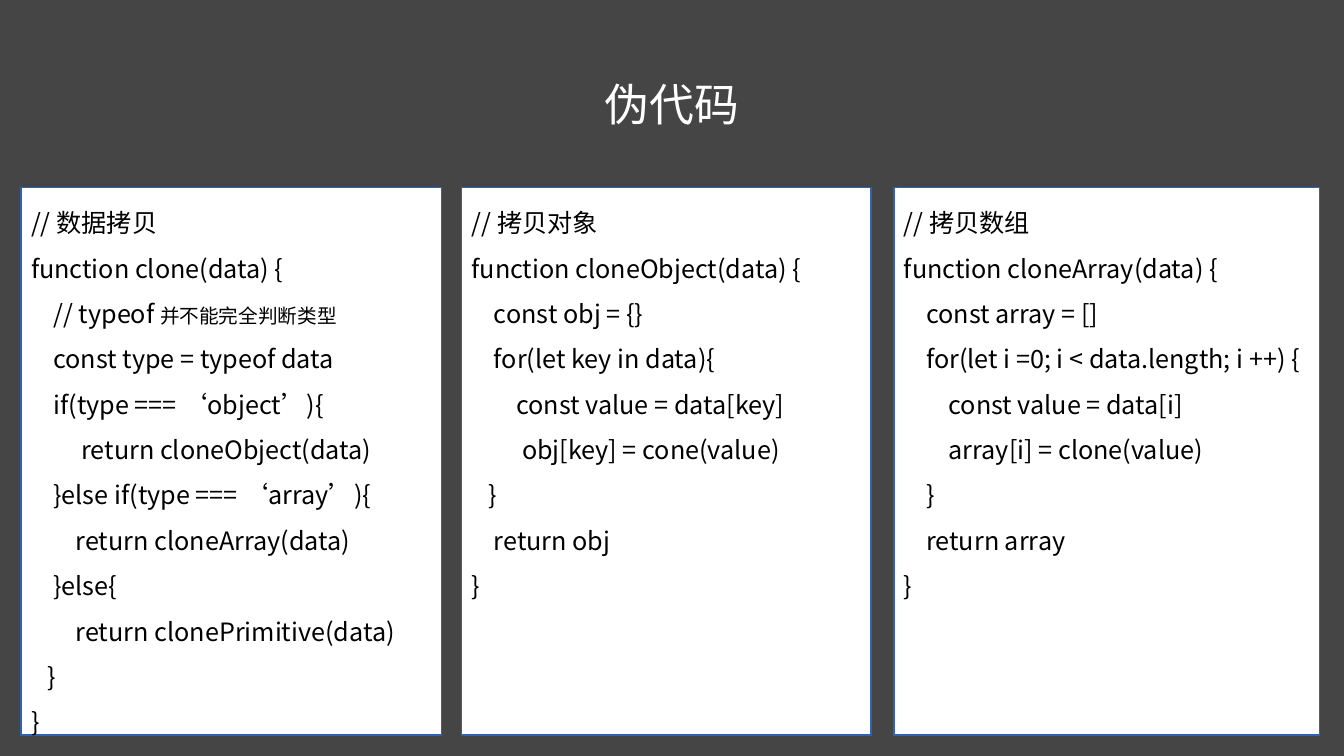
"""Build a slide with three panels of pseudocode."""
import dataclasses

import pptx
import pptx.dml.color
import pptx.enum.shapes
import pptx.enum.text
import pptx.oxml
import pptx.oxml.ns
import pptx.util

Pt = pptx.util.Pt
Align = pptx.enum.text.PP_ALIGN
Fit = pptx.enum.text.MSO_AUTO_SIZE


@dataclasses.dataclass(frozen=True)
class Theme:
    font: str = "Noto Sans CJK SC"
    back: str = "454545"
    panel: str = "FFFFFF"
    edge: str = "3062B4"
    title: str = "FFFFFF"
    code: str = "000000"
    head: float = 32
    body: float = 18
    note: float = 14
    step: float = 4


@dataclasses.dataclass(frozen=True)
class Panel:
    left: float
    width: float
    code: str


THEME = Theme()
TOP, HEIGHT = 134, 391
PANELS = [
    Panel(15.1, 300.2, """\
// 数据拷贝
function clone(data) {
    // typeof |并不能完全判断类型
    const type = typeof data
    if(type === ‘object’){
         return cloneObject(data)
    }else if(type === ‘array’){
        return cloneArray(data)
    }else{
        return clonePrimitive(data)
   }
}"""),
    Panel(329.8, 292.3, """\
// 拷贝对象
function cloneObject(data) {
    const obj = {}
    for(let key in data){
        const value = data[key]
         obj[key] = cone(value)
   }
    return obj
}"""),
    Panel(638.6, 303.8, """\
// 拷贝数组
function cloneArray(data) {
    const array = []
    for(let i =0; i < data.length; i ++) {
        const value = data[i]
        array[i] = clone(value)
    }
    return array
}"""),
]


def color(code: str) -> pptx.dml.color.RGBColor:
    return pptx.dml.color.RGBColor.from_string(code)


def add_run(par, text: str, size: float, ink: str) -> None:
    run = par.add_run()
    run.text = text
    run.font.size = Pt(size)
    run.font.name = THEME.font
    run.font.color.rgb = color(ink)
    props = run.font._element
    props.set("lang", "zh-CN")
    east = pptx.oxml.parse_xml(
        f'<a:ea {pptx.oxml.ns.nsdecls("a")} typeface="{THEME.font}"/>')
    props.append(east)


def write(frame, text: str, *, size: float, ink: str, lead: float,
          align: Align = Align.LEFT, before: float = 0,
          fit: Fit = Fit.NONE) -> None:
    frame.word_wrap = True
    frame.auto_size = fit
    frame.vertical_anchor = pptx.enum.text.MSO_ANCHOR.TOP
    for index, line in enumerate(text.splitlines()):
        par = frame.add_paragraph() if index else frame.paragraphs[0]
        par.alignment = align
        par.line_spacing = lead
        par.space_before = Pt(before)
        bare = line.lstrip()
        props = par._p.get_or_add_pPr()
        props.set("marL", str(Pt(THEME.step * (len(line) - len(bare)))))
        props.set("indent", "0")
        main, _, note = bare.partition("|")
        add_run(par, main, size, ink)
        if note:
            add_run(par, note, THEME.note, ink)


def draw(slide, panel: Panel) -> None:
    box = slide.shapes.add_shape(
        pptx.enum.shapes.MSO_SHAPE.RECTANGLE,
        Pt(panel.left), Pt(TOP), Pt(panel.width), Pt(HEIGHT))
    box.shadow.inherit = False
    box.fill.solid()
    box.fill.fore_color.rgb = color(THEME.panel)
    box.line.color.rgb = color(THEME.edge)
    box.line.width = Pt(1)
    write(box.text_frame, panel.code, size=THEME.body, ink=THEME.code, lead=1.5)


def main() -> None:
    deck = pptx.Presentation()
    deck.slide_width, deck.slide_height = Pt(960), Pt(540)
    slide = deck.slides.add_slide(deck.slide_layouts.get_by_name("Title Only"))
    slide.background.fill.solid()
    slide.background.fill.fore_color.rgb = color(THEME.back)
    title = slide.shapes.title
    title.left, title.top = Pt(0), Pt(43.2)
    title.width, title.height = Pt(960), Pt(50.4)
    write(title.text_frame, "伪代码", size=THEME.head, ink=THEME.title, lead=1.2,
          align=Align.CENTER, before=10, fit=Fit.SHAPE_TO_FIT_TEXT)
    for panel in PANELS:
        draw(slide, panel)
    deck.save("out.pptx")


main()
